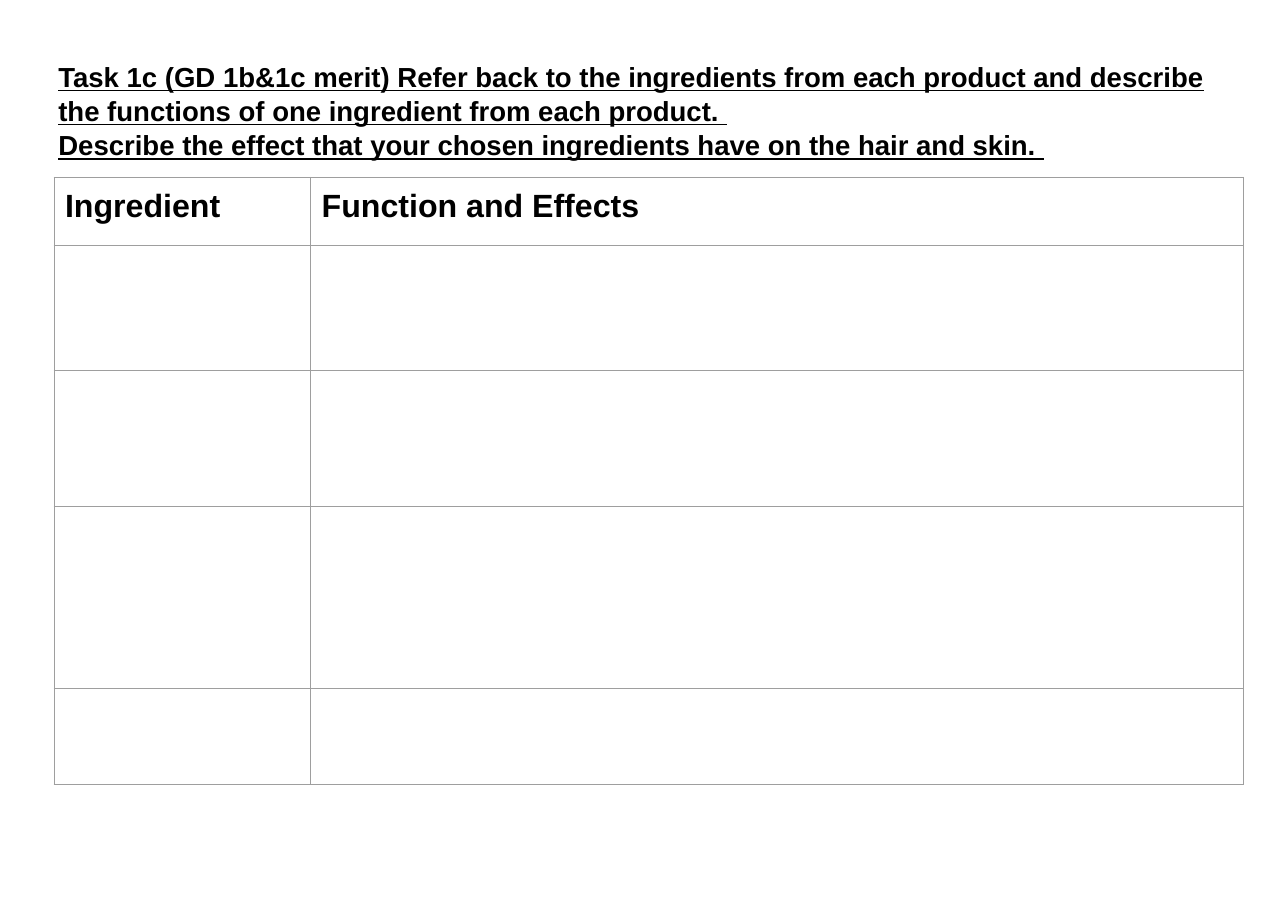
import pptx
import pptx.dml.color
import pptx.enum.text
import pptx.oxml
import pptx.oxml.ns
import pptx.util

PX = 9144  # 100 px to the inch
SLIDE_SIZE = (1169, 827)
FONT = "Arial"
BLACK = "000000"
GRID = "9E9E9E"

TASK = [
    "Task 1c (GD 1b&1c merit) Refer back to the ingredients from each product "
    "and describe the functions of one ingredient from each product. ",
    "Describe the effect that your chosen ingredients have on the hair and skin. ",
]
TASK_BOX = (40, 40, 1090, 121)
TASK_INSET = 13

HEADINGS = ["Ingredient", "Function and Effects"]
TABLE_ORIGIN = (49, 161)
COLUMN_WIDTHS = [233, 847]
ROW_HEIGHTS = [62, 113, 124, 165, 87]
CELL_INSET = 10


def px(length):
    return pptx.util.Emu(length * PX)


def color(hex_string):
    return pptx.dml.color.RGBColor.from_string(hex_string)


def style(paragraph, size, underline=False):
    for run in paragraph.runs:
        run.font.name = FONT
        run.font.size = pptx.util.Pt(size)
        run.font.bold = True
        run.font.underline = underline
        run.font.color.rgb = color(BLACK)


def set_insets(frame, inset):
    """Set equal margins on a text frame or a table cell."""
    for side in ("left", "top", "right", "bottom"):
        setattr(frame, f"margin_{side}", px(inset))


def set_borders(cell):
    properties = cell._tc.get_or_add_tcPr()
    for index, side in enumerate(("lnL", "lnR", "lnT", "lnB")):
        border = pptx.oxml.parse_xml(
            f'<a:{side} {pptx.oxml.ns.nsdecls("a")} w="{pptx.util.Pt(0.75)}">'
            f'<a:solidFill><a:srgbClr val="{GRID}"/></a:solidFill></a:{side}>'
        )
        properties.insert(index, border)


def add_task(slide):
    frame = slide.shapes.add_textbox(*map(px, TASK_BOX)).text_frame
    frame.word_wrap = True
    frame.vertical_anchor = pptx.enum.text.MSO_ANCHOR.TOP
    set_insets(frame, TASK_INSET)
    frame.text = "\n".join(TASK)
    for paragraph in frame.paragraphs:
        paragraph.line_spacing = 1.04
        style(paragraph, 18, underline=True)


def add_answer_table(slide):
    size = (sum(COLUMN_WIDTHS), sum(ROW_HEIGHTS))
    table = slide.shapes.add_table(
        len(ROW_HEIGHTS), len(COLUMN_WIDTHS), *map(px, TABLE_ORIGIN + size)
    ).table
    table.first_row = False
    table.horz_banding = False
    for column, width in zip(table.columns, COLUMN_WIDTHS):
        column.width = px(width)
    for row, height in zip(table.rows, ROW_HEIGHTS):
        row.height = px(height)
    for cell in table.iter_cells():
        set_insets(cell, CELL_INSET)
        cell.fill.background()
        set_borders(cell)
    for cell, heading in zip(table.rows[0].cells, HEADINGS):
        cell.text_frame.text = heading
        style(cell.text_frame.paragraphs[0], 21)


def main():
    presentation = pptx.Presentation()
    presentation.slide_width, presentation.slide_height = map(px, SLIDE_SIZE)
    slide = presentation.slides.add_slide(presentation.slide_layouts[6])
    add_task(slide)
    add_answer_table(slide)
    presentation.save("out.pptx")


if __name__ == "__main__":
    main()
